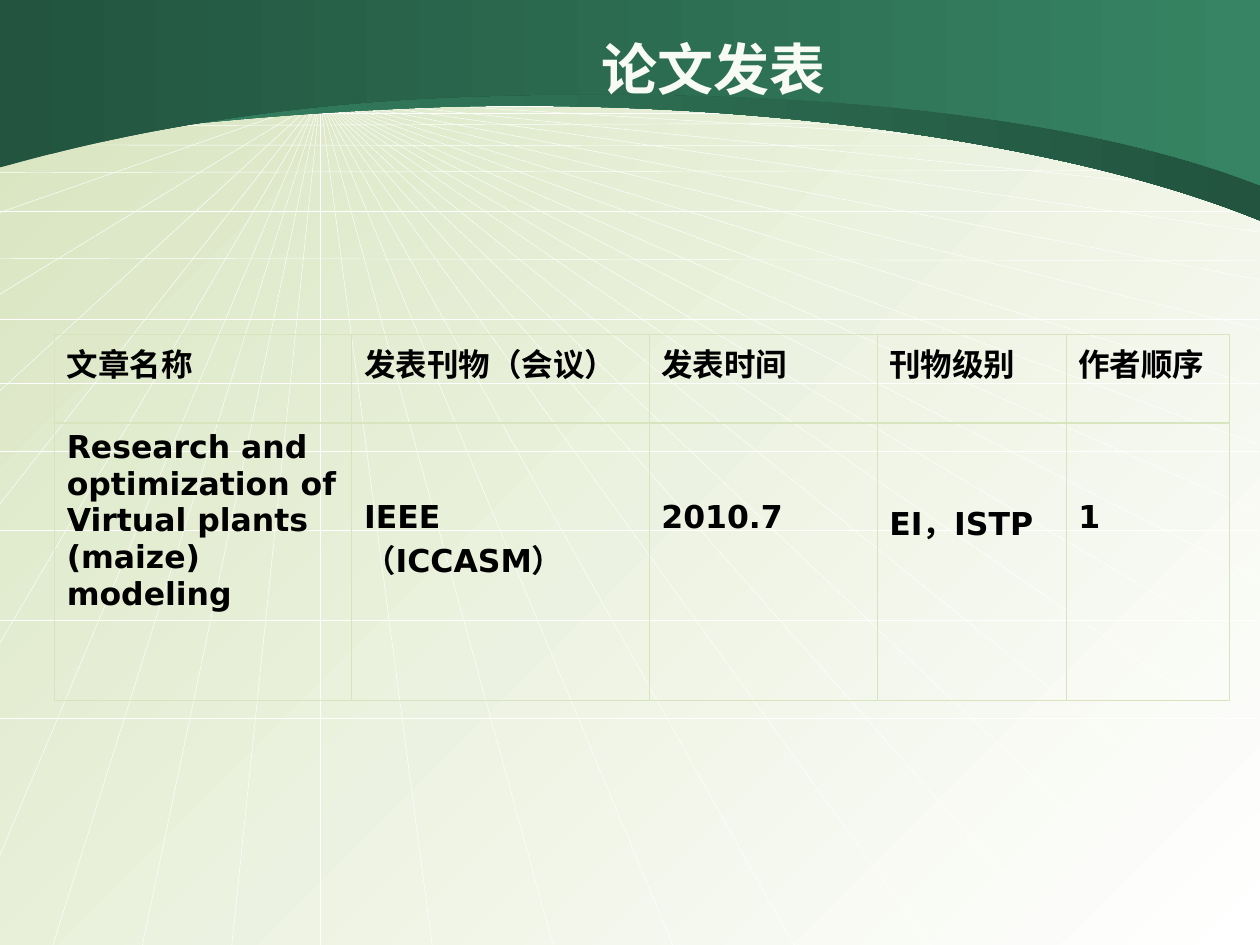
from dataclasses import dataclass

from lxml.etree import SubElement
from pptx import Presentation
from pptx.dml.color import RGBColor as Color
from pptx.enum.shapes import MSO_CONNECTOR as Connector
from pptx.enum.text import MSO_ANCHOR as Anchor, MSO_AUTO_SIZE as AutoSize, PP_ALIGN as Align
from pptx.oxml.ns import qn
from pptx.util import Inches, Pt


@dataclass(frozen=True)
class Theme:
    font: str = "DejaVu Sans"
    title_size: float = 32
    cell_size: float = 18
    title: str = "F8FAF4"
    text: str = "000000"
    ray: str = "FFFFFF"
    pale: str = "D7E4BE"
    white: str = "FFFFFF"
    dark: str = "22543F"
    light: str = "368463"
    ray_width: float = 0.25
    thin_border: float = 0.45
    thick_border: float = 1.47


THEME = Theme()

TITLE = "论文发表"
HEADERS = ["文章名称", "发表刊物（会议）", "发表时间", "刊物级别", "作者顺序"]
PAPER = [
    "Research and optimization of Virtual plants (maize) modeling",
    "IEEE（ICCASM）",
    "2010.7",
    "EI，ISTP",
    "1",
]
COLUMN_WIDTHS = [2.36, 2.36, 1.81, 1.5, 1.3]
ROW_HEIGHTS = [0.71, 2.2]
TABLE_LEFT, TABLE_TOP = 0.43, 2.65
CELL_TOP, LOWERED_TOP = 0.05, 0.6

WIDTH, HEIGHT = 10, 7.5
LEFT, RIGHT = -0.01, 9.99
VANISHING_POINT = (2.54, 0.78)
RIGHT_RAYS = [5.89, 6.8, 5.2, 4.59, 4.06, 3.53, 3.07, 2.61, 2.22, 1.84, 1.54, 1.23, 1]
BOTTOM_RAYS = [9.6, 8.46, 7.38, 6.3, 5.34, 4.39, 3.43, 2.54, 0.42, 1.13, 1.84]
LEFT_RAYS = [
    ((2.55, 0.76), 5.12), ((2.52, 0.8), 6.81), ((2.55, 0.76), 4.01), ((2.5, 0.81), 3.11),
    ((2.55, 0.78), 2.34), ((2.48, 0.82), 1.69), ((2.53, 0.8), 1.16),
]
HORIZONS = [
    (5.7, 5.7), (4.92, 4.92), (4.21, 4.21), (3.58, 3.58), (3.04, 3.04), (2.53, 2.53),
    (2.05, 2.07), (1.68, 1.68), (1.37, 1.35), (1.15, 1.16), (1, 0.97), (0.9, 0.9),
]
UPPER_RAYS = [
    ((2.55, 0.78), (LEFT, 0.78)),
    ((2.55, 0.78), (LEFT, 1.16)),
    ((2.55, 0.76), (LEFT, 0.97)),
    ((LEFT, 0.84), (RIGHT, 0.84)),
]

BANDS = [
    {
        "top": 0,
        "start": (LEFT, 1.19),
        "curves": [
            [(0.11, 1.18), (1.33, 0.93), (3.47, 0.85)],
            [(5.61, 0.78), (8.31, 1.06), (10, 1.75)],
        ],
        "colors": (THEME.light, THEME.dark),
    },
    {
        "top": -0.01,
        "start": (LEFT, 1.33),
        "curves": [
            [(0.11, 1.31), (1.51, 0.85), (3.64, 0.77)],
            [(5.77, 0.69), (8.31, 0.81), (10, 1.47)],
        ],
        "colors": (THEME.dark, THEME.light),
    },
]


def set_gradient(fill, colors, angle):
    fill.gradient()
    fill.gradient_angle = angle
    for stop, color in zip(fill.gradient_stops, colors):
        stop.color.rgb = Color.from_string(color)


def add_run(paragraph, text, size, color):
    run = paragraph.add_run()
    run.text = text
    run.font.name = THEME.font
    run.font.size = Pt(size)
    run.font.bold = True
    run.font.color.rgb = Color.from_string(color)


def add_ray(shapes, start, end):
    ray = shapes.add_connector(
        Connector.STRAIGHT, *(Inches(value) for value in (*start, *end))
    )
    ray.line.color.rgb = Color.from_string(THEME.ray)
    ray.line.width = Pt(THEME.ray_width)
    SubElement(ray._element.spPr, qn("a:effectLst"))
    return ray


def add_perspective_grid(slide):
    rays = [(VANISHING_POINT, (RIGHT, y)) for y in RIGHT_RAYS]
    rays += [(VANISHING_POINT, (x, HEIGHT)) for x in BOTTOM_RAYS]
    rays += [(start, (LEFT, y)) for start, y in LEFT_RAYS]
    rays += [((LEFT, left_y), (RIGHT, right_y)) for left_y, right_y in HORIZONS]
    grid = slide.shapes.add_group_shape()
    for start, end in rays:
        add_ray(grid.shapes, start, end)
    return [grid] + [add_ray(slide.shapes, start, end) for start, end in UPPER_RAYS]


def bend_segments(shape, curve_count):
    outline = next(shape._element.iter(qn("a:path")))
    segments = outline.findall(qn("a:lnTo"))[1:]
    for index in range(curve_count):
        group = segments[3 * index:3 * index + 3]
        curve = outline.makeelement(qn("a:cubicBezTo"))
        group[0].addprevious(curve)
        for segment in group:
            curve.append(segment[0])
            outline.remove(segment)


def add_band(slide, band):
    points = [band["start"], *(point for curve in band["curves"] for point in curve), (WIDTH, 0)]
    builder = slide.shapes.build_freeform(Inches(LEFT), Inches(band["top"]))
    builder.add_line_segments([(Inches(x), Inches(y)) for x, y in points], close=True)
    shape = builder.convert_to_shape()
    bend_segments(shape, len(band["curves"]))
    shape.shadow.inherit = False
    shape.line.fill.background()
    set_gradient(shape.fill, band["colors"], 0)
    return shape


def move_to_master(shapes, master):
    for position, shape in enumerate(shapes, start=2):
        master.shapes._spTree.insert(position, shape._element)


def place_title(slide):
    title = slide.shapes.title
    title.left, title.top = Inches(1.62), Inches(0.23)
    title.width, title.height = Inches(8.08), Inches(0.62)
    frame = title.text_frame
    frame.auto_size = AutoSize.NONE
    frame.vertical_anchor = Anchor.MIDDLE
    paragraph = frame.paragraphs[0]
    paragraph.alignment = Align.CENTER
    add_run(paragraph, TITLE, THEME.title_size, THEME.title)


def set_borders(cell, thick_side):
    properties = cell._tc.get_or_add_tcPr()
    for side in "LRTB":
        width = THEME.thick_border if side == thick_side else THEME.thin_border
        line = SubElement(properties, qn(f"a:ln{side}"), w=str(Pt(width)))
        fill = SubElement(line, qn("a:solidFill"))
        SubElement(fill, qn("a:srgbClr"), val=THEME.pale)


def add_paper_table(slide):
    rows = [HEADERS, PAPER]
    table = slide.shapes.add_table(
        len(rows), len(HEADERS), Inches(TABLE_LEFT), Inches(TABLE_TOP),
        Inches(sum(COLUMN_WIDTHS)), Inches(sum(ROW_HEIGHTS)),
    ).table
    table.first_row = table.horz_banding = False
    for column, width in zip(table.columns, COLUMN_WIDTHS):
        column.width = Inches(width)
    for row_index, texts in enumerate(rows):
        table.rows[row_index].height = Inches(ROW_HEIGHTS[row_index])
        for column_index, text in enumerate(texts):
            cell = table.cell(row_index, column_index)
            lowered = row_index and column_index
            cell.margin_top = Inches(LOWERED_TOP if lowered else CELL_TOP)
            set_borders(cell, "T" if row_index else "B")
            cell.fill.background()
            add_run(cell.text_frame.paragraphs[0], text, THEME.cell_size, THEME.text)


def main():
    presentation = Presentation()
    presentation.slide_width, presentation.slide_height = Inches(WIDTH), Inches(HEIGHT)
    slide = presentation.slides.add_slide(presentation.slide_layouts[5])
    set_gradient(slide.background.fill, (THEME.pale, THEME.white), 315)
    decoration = add_perspective_grid(slide) + [add_band(slide, band) for band in BANDS]
    move_to_master(decoration, presentation.slide_master)
    place_title(slide)
    add_paper_table(slide)
    presentation.save("out.pptx")


if __name__ == "__main__":
    main()
